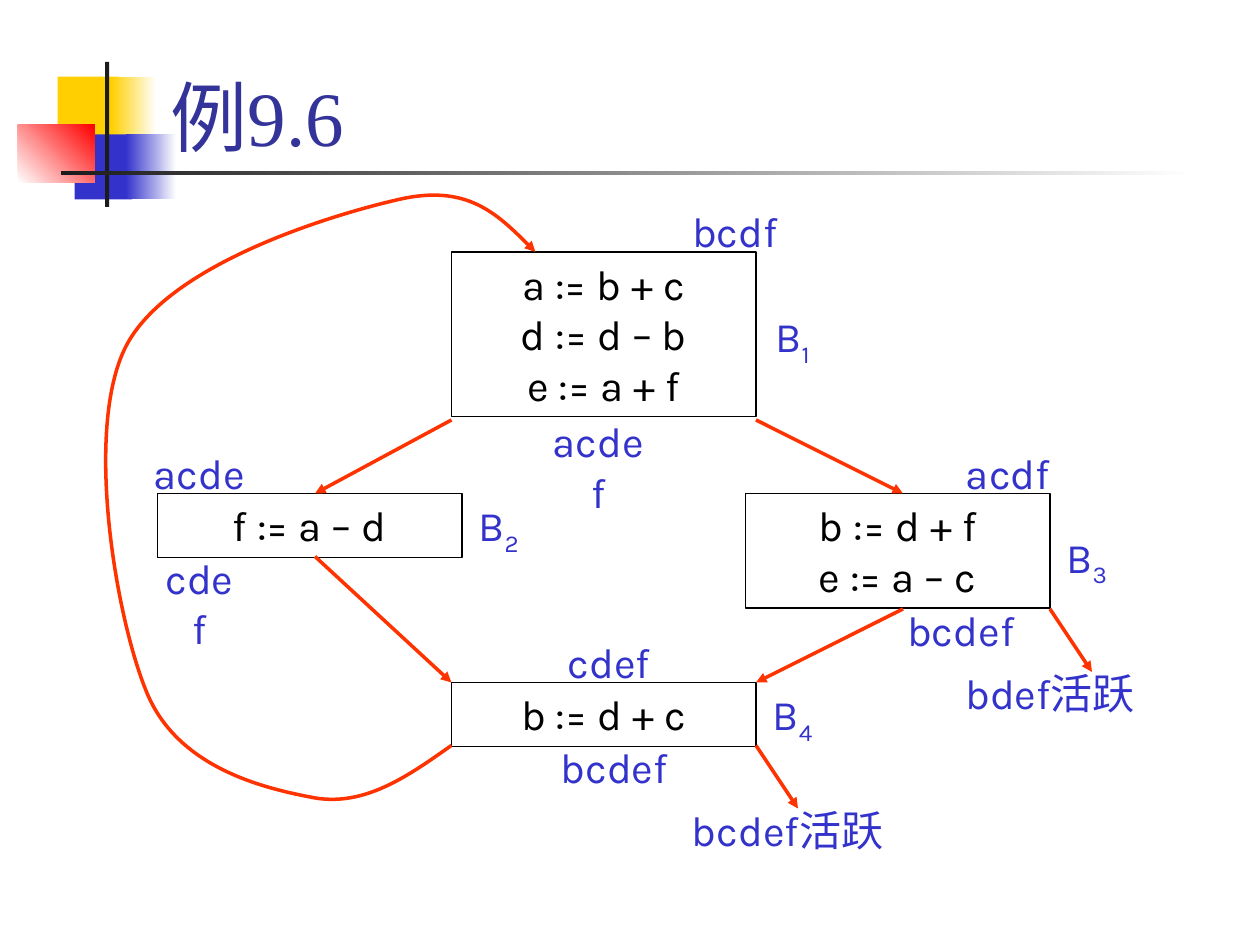
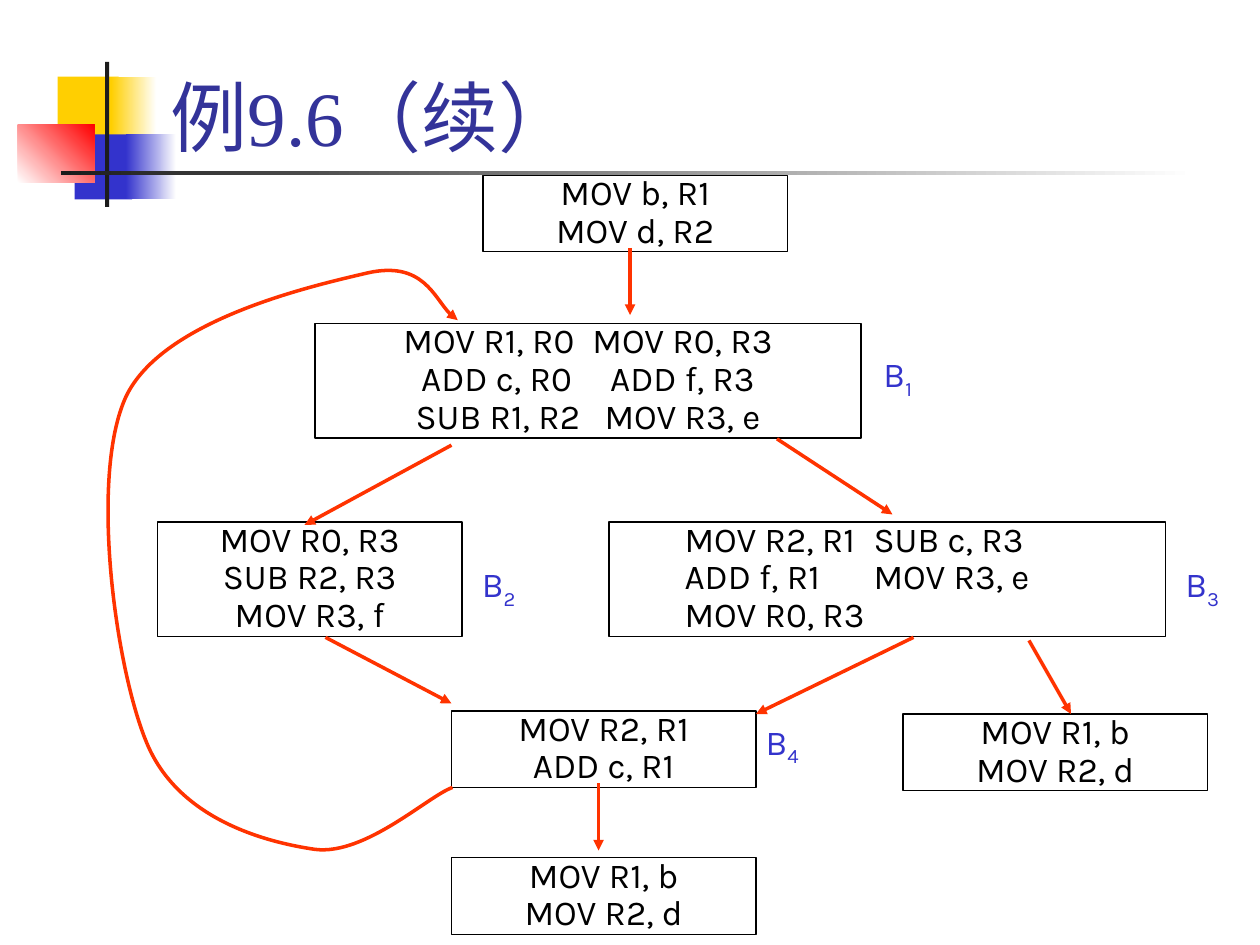
from lxml import etree
from pptx import Presentation
from pptx import util as u
from pptx.dml.color import RGBColor
from pptx.enum import shapes, text
from pptx.oxml.ns import qn

COLORS = {
    "white": "FFFFFF", "black": "000000", "ink": "1C1C1C", "yellow": "FFCF01",
    "blue": "3333CC", "red": "FF0000", "title": "333399", "arrow": "FF3300",
}
COLS, ROWS = 120, 90
WIDTH, HEIGHT = u.Inches(10), u.Inches(7.5)


def rgb(name):
    return RGBColor.from_string(COLORS[name])


def write(tf, content, sub="", size=24, font="Karla", color="black",
          align="CENTER", anchor="TOP", spacing=None, insets=None):
    tf.word_wrap = True
    tf.vertical_anchor = getattr(text.MSO_ANCHOR, anchor)
    if insets:
        tf.margin_left, tf.margin_top, tf.margin_right, tf.margin_bottom = map(u.Inches, insets)
    p = tf.paragraphs[0]
    p.text = content
    p.alignment = getattr(text.PP_ALIGN, align)
    if spacing:
        p.line_spacing = spacing
    if sub:
        r = p.add_run()
        r.text = sub
        r._r.get_or_add_rPr().set("baseline", "-25000")
    for r in p.runs:
        r.font.size, r.font.name = u.Pt(size), font
        r.font.color.rgb = rgb(color)


class Deck:
    def __init__(self, prs):
        self.prs, self.s = prs, None
        self.size, self.code = 24, {}

    def xy(self, x, y):
        return u.Emu(round(x * WIDTH / COLS)), u.Emu(round(y * HEIGHT / ROWS))

    def area(self, x, y, w, h):
        return self.xy(x, y) + self.xy(w, h)

    def slide(self, title, size, code):
        self.s = self.prs.slides.add_slide(self.prs.slide_layouts[6])
        self.size, self.code = size, code
        self.band(5.5, 7.3, 5.8, 6.2, "yellow")
        self.band(10.6, 7.3, 4.3, 6.2, "yellow", "white")
        self.band(7.1, 12.8, 5.5, 6.2, "blue")
        self.band(12, 12.8, 4.8, 6.2, "blue", "white")
        self.band(1.7, 11.9, 7.3, 5.5, "white", "red", angle=45)
        self.band(10, 5.9, 0.4, 13.8, "ink")
        self.band(5.8, 16.3, 108, 0.4, "ink", "white")
        self.text(15.1, 1, 102.2, 15, title, size=44, font="Times New Roman",
                  color="title", align="LEFT", anchor="BOTTOM")

    def rect(self, x, y, w, h):
        sp = self.s.shapes.add_shape(shapes.MSO_SHAPE.RECTANGLE, *self.area(x, y, w, h))
        sp.shadow.inherit = False
        return sp

    def band(self, x, y, w, h, start, end=None, angle=0):
        sp = self.rect(x, y, w, h)
        sp.line.fill.background()
        if end:
            sp.fill.gradient()
            sp.fill.gradient_angle = angle
            for stop, name in zip(sp.fill.gradient_stops, (start, end)):
                stop.color.rgb = rgb(name)
        else:
            sp.fill.solid()
            sp.fill.fore_color.rgb = rgb(start)

    def text(self, x, y, w, h, content, **fmt):
        tb = self.s.shapes.add_textbox(*self.area(x, y, w, h))
        write(tb.text_frame, content, **fmt)

    def label(self, x, y, w, content, sub=""):
        self.text(x, y, w, self.size / 4, content, sub=sub, size=self.size, color="blue")

    def block(self, x, y, lines, w=29, **fmt):
        row, pad = (3.64, 0) if "insets" in self.code else (4.8, 1.3)
        sp = self.rect(x, y, w, row * len(lines) + pad)
        sp.fill.background()
        sp.line.color.rgb, sp.line.width = rgb("black"), u.Pt(0.75)
        write(sp.text_frame, "\n".join(lines), **{"size": self.size, **self.code, **fmt})

    def arrowhead(self, sp):
        sp.line.color.rgb, sp.line.width = rgb("arrow"), u.Pt(2)
        ln = sp._element.spPr.find(qn("a:ln"))
        etree.SubElement(ln, qn("a:tailEnd")).set("type", "triangle")

    def arrow(self, x1, y1, x2, y2):
        cn = self.s.shapes.add_connector(
            shapes.MSO_CONNECTOR.STRAIGHT, *self.xy(x1, y1), *self.xy(x2, y2))
        self.arrowhead(cn)
        etree.SubElement(cn._element.spPr, qn("a:effectLst"))

    def curve(self, start, *points):
        fb = self.s.shapes.build_freeform(*self.xy(*start))
        fb.add_line_segments([self.xy(*pt) for pt in points], close=False)
        sp = fb.convert_to_shape()
        sp.shadow.inherit = False
        sp.fill.background()
        outline = next(sp._element.iter(qn("a:path")))
        segments = outline.findall(qn("a:lnTo"))
        for i in range(0, len(segments), 3):
            bezier = etree.SubElement(outline, qn("a:cubicBezTo"))
            for seg in segments[i:i + 3]:
                bezier.append(seg[0])
                outline.remove(seg)
        self.arrowhead(sp)


def liveness(d):
    d.slide("例9.6", 24, {})
    d.block(43, 24, ["a := b + c", "d := d – b", "e := a + f"])
    d.block(71, 47, ["b := d + f", "e := a – c"])
    d.block(15, 47, ["f := a – d"])
    d.block(43, 65, ["b := d + c"])
    for x, y, w, live in [
        (64, 19, 12, "bcdf"), (51, 39, 12, "acdef"), (90, 42, 12, "acdf"),
        (85, 57, 13, "bcdef"), (13, 42, 12, "acde"), (14, 52, 10, "cdef"),
        (52, 60, 12, "cdef"), (52, 70, 13, "bcdef"),
        (90, 63, 20, "bdef活跃"), (62, 76, 26, "bcdef活跃"),
    ]:
        d.label(x, y, w, live)
    for n, (x, y) in enumerate([(72, 29), (44, 47), (100, 50), (72, 65)], 1):
        d.label(x, y, 7, "B", str(n))
    for ends in [(43, 40, 30, 47), (72, 40, 86, 47), (30, 53, 43, 65),
                 (86, 58, 72, 65), (100, 58, 104, 64), (72, 71, 76, 77)]:
        d.arrow(*ends)
    d.curve((43, 71), (38.9, 73.9), (34.8, 76.8), (30, 76),
            (25.2, 75.1), (17, 73.2), (14, 66), (11, 58.8), (8, 40.8), (12, 33),
            (16, 25.2), (31.4, 20.5), (38, 19), (44.5, 17.5), (47.8, 20.8), (51, 24))


def generated_code(d):
    d.slide("例9.6（续）", 20, {"spacing": 0.9, "insets": (0, 0, 0, 0)})
    store = ["MOV R1, b", "MOV R2, d"]
    d.block(46, 16.7, ["MOV b, R1", "MOV d, R2"])
    d.block(30, 30.8, ["MOV R1, R0\tMOV R0, R3", "ADD c, R0\tADD f, R3",
                       "SUB R1, R2\tMOV R3, e"], w=52)
    d.block(58, 49.7, ["MOV R2, R1\tSUB c, R3", "ADD f, R1\tMOV R3, e", "MOV R0, R3"],
            w=53, align="LEFT", insets=(0.6, 0, 0, 0))
    d.block(15, 49.7, ["MOV R0, R3", "SUB R2, R3", "MOV R3, f"])
    d.block(43, 67.7, ["MOV R2, R1", "ADD c, R1"])
    d.block(43, 81.7, store)
    d.block(86, 68, store)
    for n, (x, y) in enumerate([(82, 33), (44, 53), (111, 53), (71, 68)], 1):
        d.label(x, y, 7, "B", str(n))
    for ends in [(43, 42.4, 29, 50), (74, 41.8, 85, 49), (31, 60.7, 43, 67),
                 (87, 60.7, 72, 68), (57, 74.6, 57, 81), (60, 23.6, 60, 30),
                 (98, 61, 102, 68)]:
        d.arrow(*ends)
    d.curve((43.1, 75), (40.8, 75.8), (34.8, 81.5), (30, 80.9),
            (25.2, 80.2), (17, 78), (14, 70.8), (11, 63.7), (8.5, 45.4), (12, 37.8),
            (15.5, 30.4), (29.9, 27.2), (35, 26), (40.3, 24.8), (41.8, 29.5), (43.6, 30.5))


def main():
    prs = Presentation()
    prs.slide_width, prs.slide_height = WIDTH, HEIGHT
    d = Deck(prs)
    liveness(d)
    generated_code(d)
    prs.save("out.pptx")


if __name__ == "__main__":
    main()
